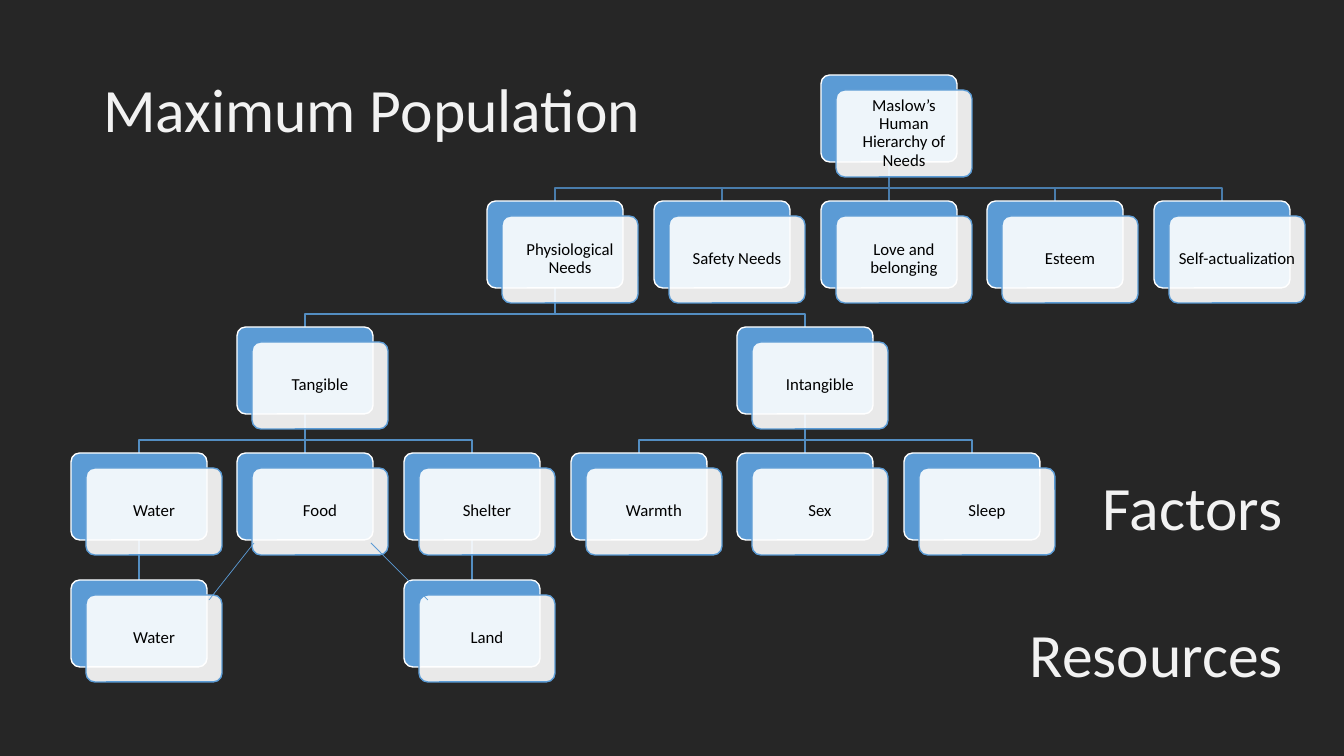
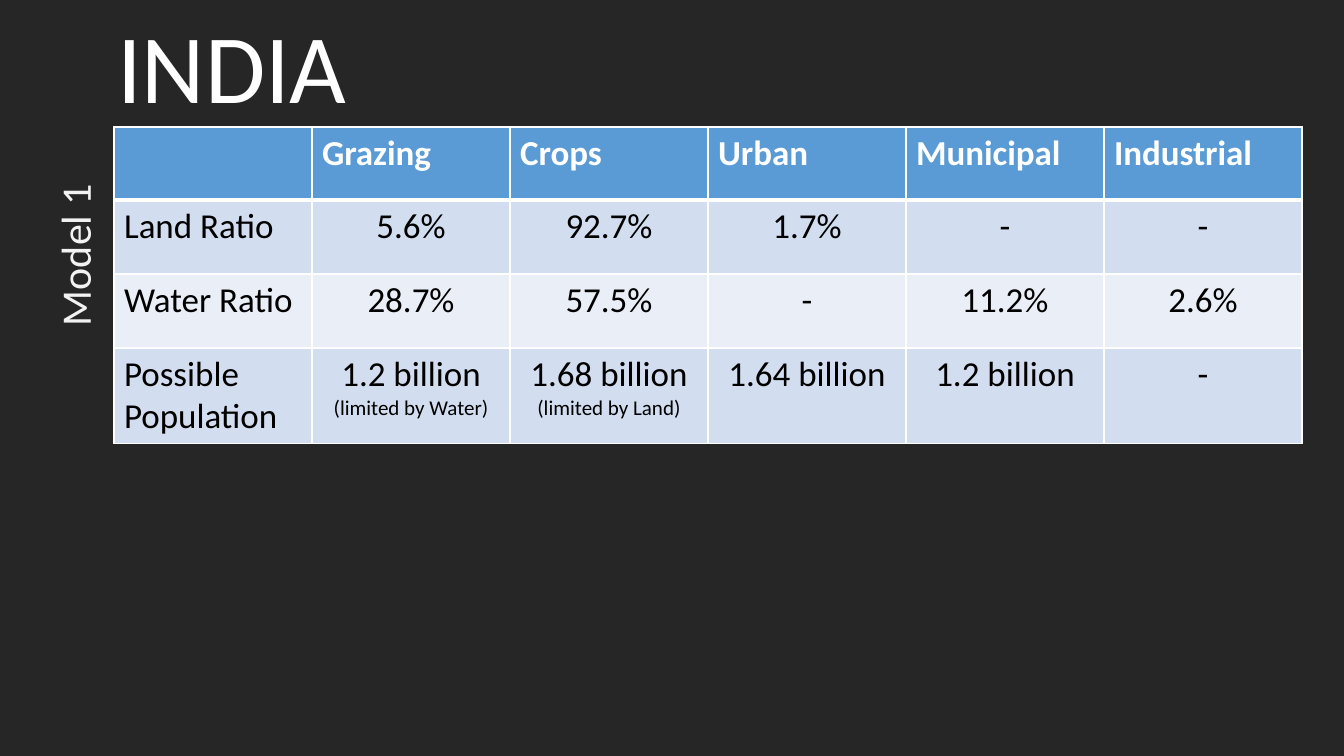
"""Builds two dark slides: a needs hierarchy and a table of land and water ratios."""
from lxml.etree import SubElement
from pptx import Presentation
from pptx.dml.color import RGBColor
from pptx.enum.shapes import MSO_CONNECTOR, MSO_SHAPE
from pptx.enum.text import MSO_ANCHOR, MSO_AUTO_SIZE, PP_ALIGN
from pptx.oxml import parse_xml
from pptx.oxml.ns import nsdecls, qn
from pptx.util import Emu, Pt

DARK = RGBColor(0x26, 0x26, 0x26)
PALE = RGBColor(0xF2, 0xF2, 0xF2)
WHITE = RGBColor(0xFF, 0xFF, 0xFF)
BLACK = RGBColor(0, 0, 0)
BLUE = RGBColor(0x5B, 0x9B, 0xD5)
TOP_LINK = RGBColor(0x49, 0x7C, 0xAB)
LINK = RGBColor(0x53, 0x8D, 0xC1)
BAND_DARK = RGBColor(0xD2, 0xDE, 0xEF)
BAND_LIGHT = RGBColor(0xEA, 0xEF, 0xF7)

FONT = "Calibri"
CARD_W, CARD_H, CARD_SHIFT = 136, 87, 15

CARDS = {
    "root": (9, 0, "Maslow’s Human Hierarchy of Needs"),
    "physiological": (5, 1, "Physiological Needs"),
    "safety": (7, 1, "Safety Needs"),
    "love": (9, 1, "Love and belonging"),
    "esteem": (11, 1, "Esteem"),
    "self": (13, 1, "Self-actualization"),
    "tangible": (2, 2, "Tangible"),
    "intangible": (8, 2, "Intangible"),
    "water": (0, 3, "Water"),
    "food": (2, 3, "Food"),
    "shelter": (4, 3, "Shelter"),
    "warmth": (6, 3, "Warmth"),
    "sex": (8, 3, "Sex"),
    "sleep": (10, 3, "Sleep"),
    "water supply": (0, 4, "Water"),
    "land": (4, 4, "Land"),
}
CHILDREN = {
    "root": ["physiological", "safety", "love", "esteem", "self"],
    "physiological": ["tangible", "intangible"],
    "tangible": ["water", "food", "shelter"],
    "intangible": ["warmth", "sex", "sleep"],
    "water": ["water supply"],
    "shelter": ["land"],
}
RATIOS = [
    ["", "Grazing", "Crops", "Urban", "Municipal", "Industrial"],
    ["Land Ratio", "5.6%", "92.7%", "1.7%", "-", "-"],
    ["Water Ratio", "28.7%", "57.5%", "-", "11.2%", "2.6%"],
    ["Possible Population", "1.2 billion\n(limited by Water)",
     "1.68 billion\n(limited by Land)", "1.64 billion", "1.2 billion", "-"],
]


def px(n):
    """Turn pixels into EMU."""
    return Emu(round(n * 12192000 / 1344))


def card_place(name):
    """Return the left and top of a card on the half-column grid."""
    half_column, row, _ = CARDS[name]
    return 71 + half_column * 250 // 3, 75 + row * 505 // 4


class Deck:
    """Holds the style and the current slide."""

    def __init__(self):
        """Start a widescreen deck on a dark background."""
        self.prs = Presentation()
        self.prs.slide_width, self.prs.slide_height = px(1344), px(756)
        fill = self.prs.slide_master.background.fill
        fill.solid()
        fill.fore_color.rgb = DARK

    def set_text(self, tf, text, sizes, color, align=PP_ALIGN.LEFT, spacing=None, bold=False):
        """Set the text; paragraphs take their sizes in turn."""
        tf.text = text
        for p, size in zip(tf.paragraphs, sizes):
            p.alignment = align
            p.line_spacing = spacing
            for r in p.runs:
                r.font.name, r.font.size, r.font.bold = FONT, Pt(size), bold
                r.font.color.rgb = color

    def title(self, text, box, size=44, color=PALE, align=PP_ALIGN.LEFT):
        """Add a slide and place its title."""
        self.s = self.prs.slides.add_slide(self.prs.slide_layouts[5])
        sp = self.s.shapes.title
        sp.left, sp.top, sp.width, sp.height = map(px, box)
        tf = sp.text_frame
        tf.auto_size, tf.vertical_anchor = MSO_AUTO_SIZE.NONE, MSO_ANCHOR.MIDDLE
        self.set_text(tf, text, [size], color, align, 0.9)

    def label(self, text, box, size=44, spacing=0.9, upright=False):
        """Add a pale label, turned to read upwards if upright."""
        tf = self.s.shapes.add_textbox(*map(px, box)).text_frame
        tf.word_wrap = not upright
        tf.vertical_anchor = MSO_ANCHOR.MIDDLE
        if upright:
            tf._txBody.bodyPr.set("vert", "vert270")
        self.set_text(tf, text, [size], PALE, spacing=spacing)

    def line(self, start, end, color, width=1):
        """Draw a straight line."""
        sp = self.s.shapes.add_connector(MSO_CONNECTOR.STRAIGHT, *map(px, start + end))
        sp.line.color.rgb, sp.line.width = color, Pt(width)
        SubElement(sp._element.spPr, qn("a:effectLst"))

    def link(self, parent, child, color):
        """Join a parent card to a child card."""
        (x1, y1), (x2, y2) = card_place(parent), card_place(child)
        x1, x2, y1 = x1 + CARD_W // 2, x2 + CARD_W // 2, y1 + CARD_H
        if x1 == x2:
            self.line((x1, y1), (x2, y2), color)
            return
        bend = y2 - 13
        builder = self.s.shapes.build_freeform(px(x1), px(y1))
        builder.add_line_segments(
            [(px(x), px(y)) for x, y in ((x1, bend), (x2, bend), (x2, y2))], close=False)
        sp = builder.convert_to_shape()
        sp.shadow.inherit = False
        sp.fill.background()
        sp.line.color.rgb, sp.line.width = color, Pt(1)

    def panel(self, x, y, fill, line):
        """Draw one rounded card panel."""
        sp = self.s.shapes.add_shape(
            MSO_SHAPE.ROUNDED_RECTANGLE, px(x), px(y), px(CARD_W), px(CARD_H))
        sp.adjustments[0] = 0.1
        sp.shadow.inherit = False
        sp.fill.solid()
        sp.fill.fore_color.rgb = fill
        sp.line.color.rgb, sp.line.width = line, Pt(1)
        return sp

    def card(self, name):
        """Draw a blue panel and, in front, a translucent one with text."""
        x, y = card_place(name)
        self.panel(x, y, BLUE, WHITE)
        sp = self.panel(x + CARD_SHIFT, y + CARD_SHIFT, WHITE, BLUE)
        color = sp._element.spPr.find(qn("a:solidFill"))[0]
        SubElement(color, qn("a:alpha")).set("val", "90000")
        tf = sp.text_frame
        tf.word_wrap, tf.vertical_anchor = True, MSO_ANCHOR.MIDDLE
        tf.margin_left = tf.margin_right = tf.margin_top = tf.margin_bottom = px(7)
        self.set_text(tf, CARDS[name][2], [12], BLACK, PP_ALIGN.CENTER, 0.9)

    def border(self, cell, row):
        """Give a cell white borders, thick under the header."""
        tc_pr = cell._tc.get_or_add_tcPr()
        for side in "LRTB":
            thick = (row, side) in ((0, "B"), (1, "T"))
            tc_pr.append(parse_xml(
                f'<a:ln{side} {nsdecls("a")} w="{Pt(3 if thick else 1)}"><a:solidFill>'
                f'<a:srgbClr val="{WHITE}"/></a:solidFill></a:ln{side}>'))

    def table(self, rows, left, top, column, heights):
        """Add a banded table with a blue header."""
        table = self.s.shapes.add_table(
            len(rows), len(rows[0]), px(left), px(top),
            px(column * len(rows[0])), px(sum(heights))).table
        for col in table.columns:
            col.width = px(column)
        for i, (values, height) in enumerate(zip(rows, heights)):
            table.rows[i].height = px(height)
            header = i == 0
            fill = BLUE if header else BAND_DARK if i % 2 else BAND_LIGHT
            for j, value in enumerate(values):
                cell = table.cell(i, j)
                self.border(cell, i)
                cell.fill.solid()
                cell.fill.fore_color.rgb = fill
                align = PP_ALIGN.LEFT if header or j == 0 else PP_ALIGN.CENTER
                self.set_text(cell.text_frame, value, (25, 15),
                              WHITE if header else BLACK, align, bold=header)


def main():
    """Build and save the deck."""
    deck = Deck()
    deck.title("Maximum Population", (93, 40, 700, 146))
    for parent, children in CHILDREN.items():
        for child in children:
            deck.link(parent, child, TOP_LINK if parent == "root" else LINK)
    for name in CARDS:
        deck.card(name)
    deck.label("Factors", (1093, 438, 251, 146))
    deck.label("Resources", (1020, 585, 324, 146))
    deck.line((209, 600), (254, 543), BLUE, 0.5)
    deck.line((428, 600), (371, 543), BLUE, 0.5)

    deck.title("INDIA", (0, 0, 464, 143), 70, WHITE, PP_ALIGN.CENTER)
    deck.table(RATIOS, 114, 127, 198, (73, 74, 74, 95))
    deck.label("Model 1", (38, 183, 72, 153), 30, None, upright=True)
    deck.prs.save("out.pptx")


if __name__ == "__main__":
    main()
